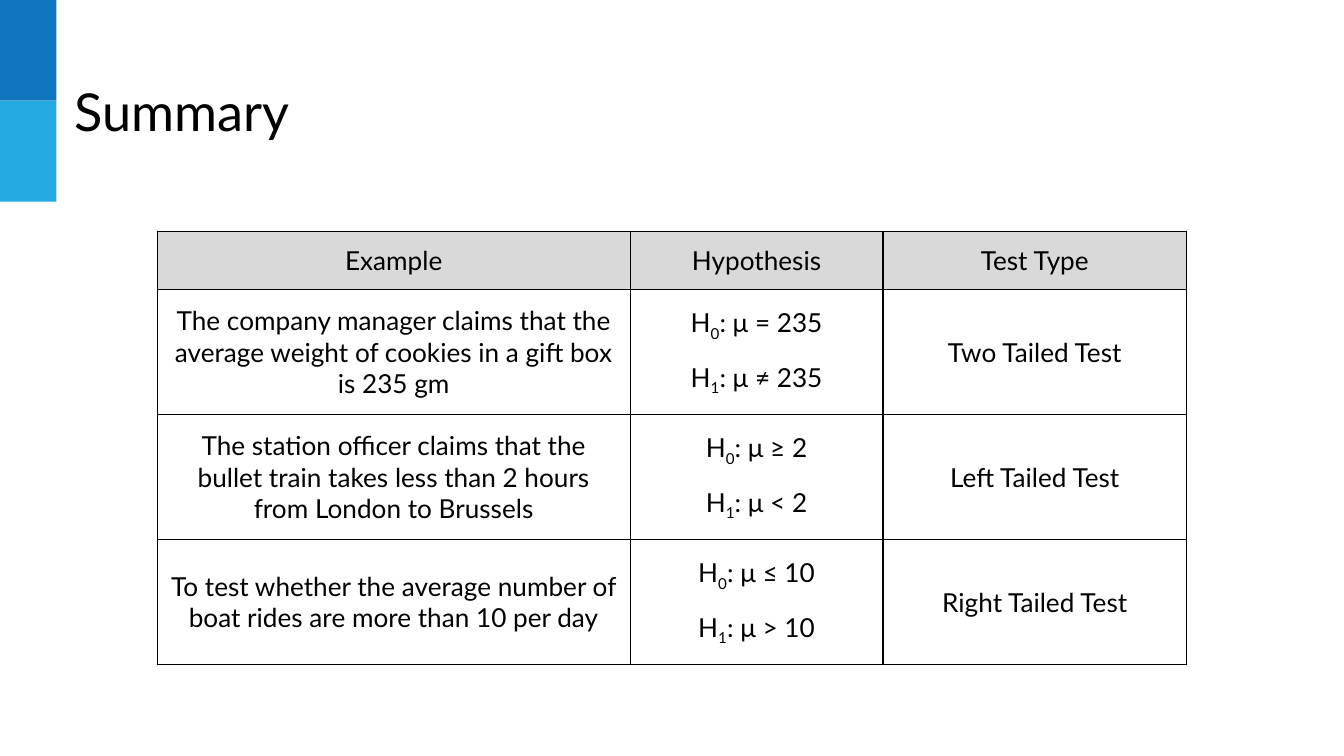
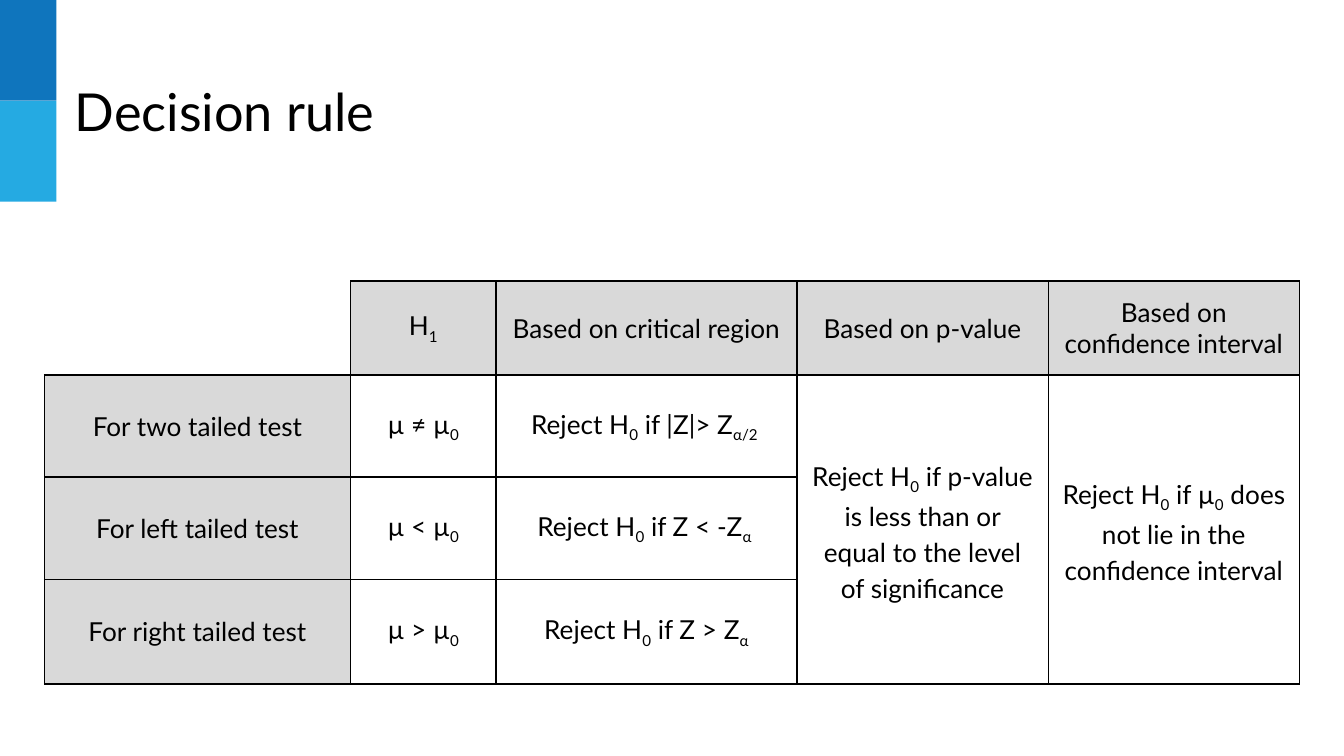
from dataclasses import dataclass

from lxml.etree import fromstring
from pptx import Presentation
from pptx.dml.color import RGBColor
from pptx.enum.shapes import MSO_SHAPE as Shape
from pptx.enum.text import MSO_ANCHOR as Anchor, PP_ALIGN as Align
from pptx.oxml.ns import nsdecls
from pptx.util import Inches, Pt


@dataclass(frozen=True)
class Theme:
    font: str = "Lato"
    ink: str = "000000"
    shade: str = "D9D9D9"
    bands: tuple = ("0F75BD", "25AAE2")
    title_size: int = 28
    body_size: int = 14
    border: float = 0.75
    inset: float = 0.1


THEME = Theme()


def write_text(frame, text, size=THEME.body_size, align=Align.LEFT, spacing=None, gap=0):
    """Write lines of text into a frame, setting parts in braces as subscripts."""
    for index, line in enumerate(text.split("\n")):
        para = frame.add_paragraph() if index else frame.paragraphs[0]
        para.alignment = align
        if spacing:
            para.line_spacing = spacing
        if index:
            para.space_before = para.space_after = Pt(gap)
        for part, piece in enumerate(line.replace("}", "{").split("{")):
            if not piece:
                continue
            span = para.add_run()
            span.text = piece
            span.font.name = THEME.font
            span.font.size = Pt(size)
            span.font.color.rgb = RGBColor.from_string(THEME.ink)
            if part % 2:
                span._r.get_or_add_rPr().set("baseline", "-25000")


class Builder:
    def __init__(self, theme):
        self.theme = theme
        self.deck = Presentation()
        self.deck.slide_width = Inches(10)
        self.deck.slide_height = Inches(10 * 9 / 16)
        self.page = None

    def add_page(self, title):
        self.page = self.deck.slides.add_slide(self.deck.slide_layouts[6])
        for index, color in enumerate(self.theme.bands):
            self.add_band(0.75 * index, color)
        self.add_title(title)

    def add_band(self, top, color):
        band = self.page.shapes.add_shape(
            Shape.RECTANGLE, 0, Inches(top), Inches(0.42), Inches(0.75))
        band.shadow.inherit = False
        band.fill.solid()
        band.fill.fore_color.rgb = RGBColor.from_string(color)
        band.line.fill.background()

    def add_title(self, text):
        box = self.page.shapes.add_textbox(
            Inches(0.46), Inches(0.49), Inches(7.37), Inches(0.63))
        frame = box.text_frame
        frame.word_wrap = True
        self.set_insets(frame)
        write_text(frame, text, size=self.theme.title_size)

    def set_insets(self, target):
        target.margin_left = target.margin_right = Inches(self.theme.inset)
        target.margin_top = target.margin_bottom = Inches(self.theme.inset)

    def set_borders(self, cell, sides):
        properties = cell._tc.get_or_add_tcPr()
        for index, side in enumerate(sides):
            properties.insert(index, fromstring(
                f'<a:ln{side} {nsdecls("a")} w="{Pt(self.theme.border)}"><a:solidFill>'
                f'<a:srgbClr val="{self.theme.ink}"/></a:solidFill></a:ln{side}>'))

    def add_table(self, left, top, widths, heights, rows, row_heads=False, merged=()):
        table = self.page.shapes.add_table(
            len(rows), len(widths), Inches(left), Inches(top),
            Inches(sum(widths)), Inches(sum(heights))).table
        table.first_row = table.horz_banding = False
        for column, width in zip(table.columns, widths):
            column.width = Inches(width)
        for row, height in zip(table.rows, heights):
            row.height = Inches(height)
        for column in merged:
            table.cell(1, column).merge(table.cell(len(rows) - 1, column))
        for y, row in enumerate(rows):
            for x, text in enumerate(row):
                cell = table.cell(y, x)
                is_corner = text == ""
                is_head = y == 0 or (row_heads and x == 0)
                if is_head and not is_corner:
                    cell.fill.solid()
                    cell.fill.fore_color.rgb = RGBColor.from_string(self.theme.shade)
                else:
                    cell.fill.background()
                self.set_borders(cell, "RB" if is_corner else "LRTB")
                self.set_insets(cell)
                cell.vertical_anchor = Anchor.MIDDLE
                if text:
                    write_text(cell.text_frame, text, align=Align.CENTER, gap=10,
                               spacing=1.15 if cell.is_merge_origin else None)


def add_summary(builder):
    builder.add_page("Summary")
    cases = [
        ("The company manager claims that the average weight of cookies in a gift box is 235 gm",
         "= 235", "≠ 235", "Two"),
        ("The station officer claims that the bullet train takes less than 2 hours "
         "from London to Brussels", "≥ 2", "< 2", "Left"),
        ("To test whether the average number of boat rides are more than 10 per day",
         "≤ 10", "> 10", "Right"),
    ]
    rows = [("Example", "Hypothesis", "Test Type")]
    rows += [(example, f"H{{0}}: μ {null}\nH{{1}}: μ {other}", f"{tail} Tailed Test")
             for example, null, other, tail in cases]
    builder.add_table(1.17, 1.72, [3.52, 1.88, 2.26], [0.43] + [0.93] * 3, rows)


def add_decision_rule(builder):
    builder.add_page("Decision rule")
    rows = [
        ("", "H{1}", "Based on critical region", "Based on p-value",
         "Based on confidence interval"),
        ("For two tailed test", "µ ≠ µ{0}", "Reject H{0} if |Z|> Z{α/2 }",
         "Reject H{0} if p-value is less than or equal to the level of significance",
         "Reject H{0} if µ{0} does not lie in the confidence interval"),
        ("For left tailed test", "µ < µ{0}", "Reject H{0} if Z < -Z{α }", None, None),
        ("For right tailed test", "µ > µ{0}", "Reject H{0} if Z > Z{α}", None, None),
    ]
    builder.add_table(0.33, 2.09, [2.28, 1.08, 2.24, 1.87, 1.87], [0.7, 0.76, 0.76, 0.78],
                      rows, row_heads=True, merged=(3, 4))


def main():
    builder = Builder(THEME)
    add_summary(builder)
    add_decision_rule(builder)
    builder.deck.save("out.pptx")


if __name__ == "__main__":
    main()
